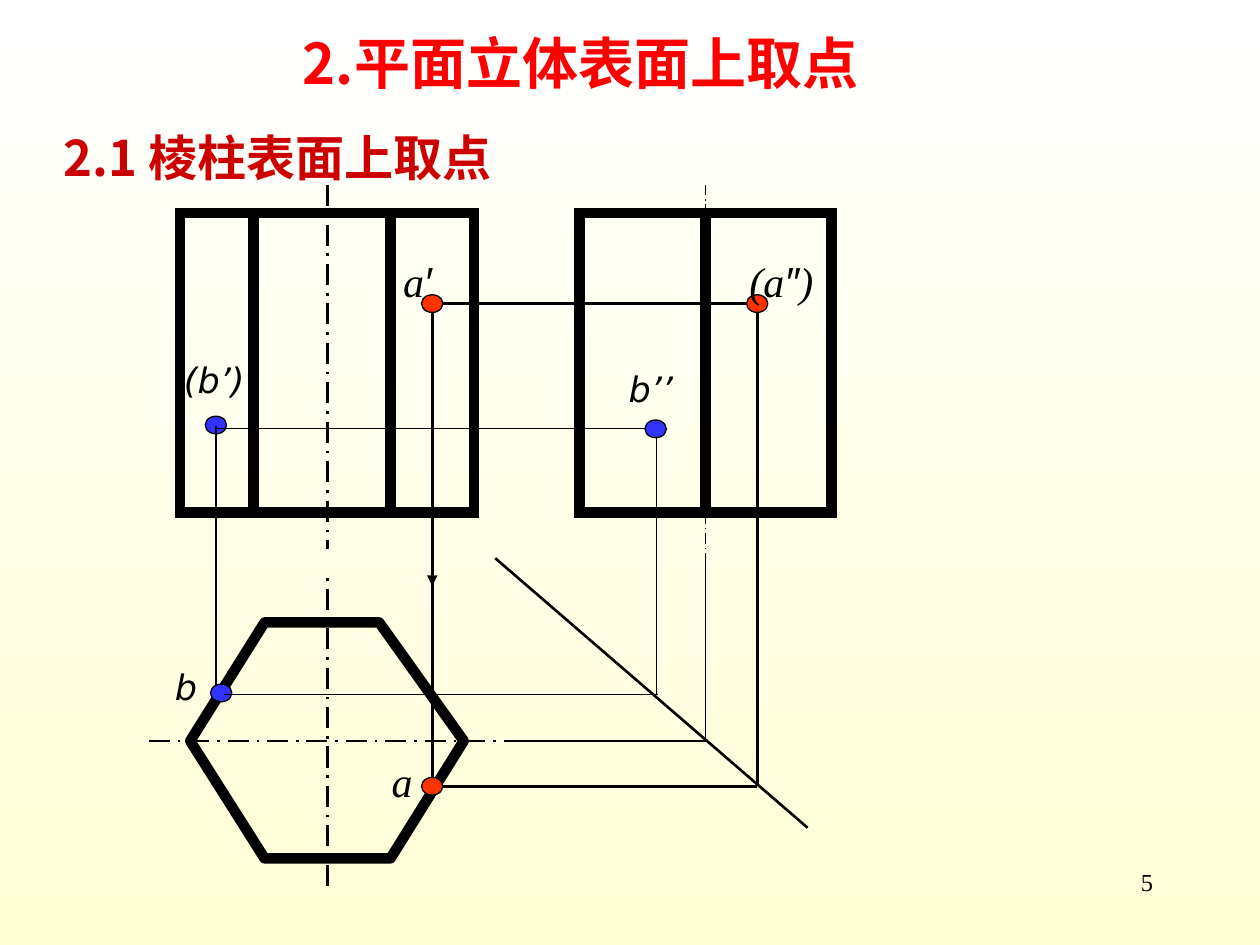
from dataclasses import dataclass

from lxml import etree
from pptx import Presentation
from pptx.dml.color import RGBColor
from pptx.enum.dml import MSO_LINE
from pptx.enum.shapes import MSO_CONNECTOR, MSO_SHAPE
from pptx.enum.text import MSO_ANCHOR, MSO_AUTO_SIZE, PP_ALIGN
from pptx.oxml.ns import qn
from pptx.util import Pt

STRAIGHT = MSO_CONNECTOR.STRAIGHT
RECTANGLE, OVAL = MSO_SHAPE.RECTANGLE, MSO_SHAPE.OVAL
CHAIN = MSO_LINE.LONG_DASH_DOT
LEFT, CENTER, RIGHT = PP_ALIGN.LEFT, PP_ALIGN.CENTER, PP_ALIGN.RIGHT
TOP, MIDDLE = MSO_ANCHOR.TOP, MSO_ANCHOR.MIDDLE
GROW, FIXED = MSO_AUTO_SIZE.SHAPE_TO_FIT_TEXT, MSO_AUTO_SIZE.NONE

COLORS = {
    "ink": "000000", "title": "FF0000", "heading": "CC0000",
    "red": "FF3300", "blue": "3333FF", "sky": "FFFFFF", "cream": "FFFED6",
}
FORMATS = {
    "title": {"size": Pt(32), "bold": True, "name": "Noto Sans CJK SC"},
    "heading": {"size": Pt(28), "bold": True, "name": "Noto Sans CJK SC"},
    "serif": {"size": Pt(24), "italic": True, "name": "Times New Roman"},
    "prime": {"size": Pt(24), "italic": True, "name": "Arial"},
    "sans": {"size": Pt(20), "italic": True, "name": "DejaVu Sans"},
    "number": {"size": Pt(14), "name": "Times New Roman"},
}
THIN, MEDIUM, THICK = 0.75, 1.5, 6
DOT_WIDTH, DOT_HEIGHT = 12.2, 10.1
VIEW_TOP, VIEW_BOTTOM = 121.7, 293
FRONT_AXIS, SIDE_AXIS, PLAN_AXIS = 187.2, 403.2, 423.4
A_FRONT, A_SIDE, A_HEIGHT, A_PLAN = 247, 432.7, 173.5, 449.3
B_FRONT, B_SIDE, B_HEIGHT, B_PLAN = 123.4, 375, 244.8, 396.7
HEXAGON = [(151.2, 355.7), (216.7, 355.7), (265, PLAN_AXIS),
           (223.2, 490.5), (151.2, 490.5), (108.7, PLAN_AXIS)]


@dataclass
class Stroke:
    x1: float
    y1: float
    x2: float
    y2: float
    width: float = MEDIUM
    dashed: bool = False
    arrow: bool = False


@dataclass
class Frame:
    left: float
    width: float


@dataclass
class Outline:
    points: list[tuple[float, float]]


@dataclass
class Dot:
    x: float
    y: float
    color: str


@dataclass
class Label:
    left: float
    top: float
    width: float
    height: float
    spans: list[tuple[str, str]]
    color: str = "ink"
    align: PP_ALIGN = LEFT
    anchor: MSO_ANCHOR = TOP
    resize: MSO_AUTO_SIZE = GROW
    inset: float = 3.6


def rgb(name: str) -> RGBColor:
    return RGBColor.from_string(COLORS[name])


def set_line(shape, width: float) -> None:
    shape.line.color.rgb = rgb("ink")
    shape.line.width = Pt(width)


def draw_stroke(shapes, item: Stroke) -> None:
    ends = [Pt(value) for value in (item.x1, item.y1, item.x2, item.y2)]
    stroke = shapes.add_connector(STRAIGHT, *ends)
    set_line(stroke, item.width)
    if item.dashed:
        stroke.line.dash_style = CHAIN
    if item.arrow:
        etree.SubElement(stroke.line._get_or_add_ln(), qn("a:tailEnd"), type="triangle")
    etree.SubElement(stroke._element.spPr, qn("a:effectLst"))


def draw_frame(shapes, item: Frame) -> None:
    frame = shapes.add_shape(RECTANGLE, Pt(item.left), Pt(VIEW_TOP),
                             Pt(item.width), Pt(VIEW_BOTTOM - VIEW_TOP))
    frame.shadow.inherit = False
    frame.fill.background()
    set_line(frame, THICK)
    etree.SubElement(frame.line._get_or_add_ln(), qn("a:miter"), lim="800000")


def draw_outline(shapes, item: Outline) -> None:
    start, *rest = [(Pt(x), Pt(y)) for x, y in item.points]
    builder = shapes.build_freeform(*start)
    builder.add_line_segments(rest, close=True)
    outline = builder.convert_to_shape()
    outline.shadow.inherit = False
    outline.fill.background()
    set_line(outline, THICK)
    etree.SubElement(outline.line._get_or_add_ln(), qn("a:round"))


def draw_dot(shapes, item: Dot) -> None:
    dot = shapes.add_shape(OVAL, Pt(item.x - DOT_WIDTH / 2), Pt(item.y - DOT_HEIGHT / 2),
                           Pt(DOT_WIDTH), Pt(DOT_HEIGHT))
    dot.shadow.inherit = False
    dot.fill.solid()
    dot.fill.fore_color.rgb = rgb(item.color)
    set_line(dot, THIN)


def draw_label(shapes, item: Label) -> None:
    box = shapes.add_textbox(Pt(item.left), Pt(item.top), Pt(item.width), Pt(item.height))
    frame = box.text_frame
    settings = {"word_wrap": True, "auto_size": item.resize, "vertical_anchor": item.anchor,
                "margin_top": Pt(item.inset), "margin_bottom": Pt(item.inset)}
    for key, value in settings.items():
        setattr(frame, key, value)
    para = frame.paragraphs[0]
    para.alignment = item.align
    for text, style in item.spans:
        span = para.add_run()
        span.text = text
        span.font.color.rgb = rgb(item.color)
        for key, value in FORMATS[style].items():
            setattr(span.font, key, value)
        etree.SubElement(span.font._element, qn("a:ea"), typeface=FORMATS[style]["name"])


DRAWERS = {Stroke: draw_stroke, Frame: draw_frame, Outline: draw_outline,
           Dot: draw_dot, Label: draw_label}

ITEMS = [
    Stroke(295.2, PLAN_AXIS, SIDE_AXIS, PLAN_AXIS, THIN),
    Stroke(SIDE_AXIS, 319, SIDE_AXIS, PLAN_AXIS, THIN),
    Stroke(283, 319, 461.5, 473),
    Stroke(A_FRONT, A_PLAN, A_SIDE, A_PLAN),
    Stroke(A_FRONT, A_HEIGHT, A_SIDE, A_HEIGHT),
    Frame(103, 167.8),
    Frame(331.2, 144),
    Outline(HEXAGON),
    *[Stroke(x, VIEW_TOP, x, VIEW_BOTTOM, THICK) for x in (144.9, 223.2, SIDE_AXIS)],
    Stroke(FRONT_AXIS, 105.8, FRONT_AXIS, 314, dashed=True),
    Stroke(85, PLAN_AXIS, 295.2, PLAN_AXIS, dashed=True),
    Stroke(FRONT_AXIS, 506.2, FRONT_AXIS, 329.8, dashed=True),
    Stroke(SIDE_AXIS, 105.8, SIDE_AXIS, 319, THIN, dashed=True),
    Dot(A_FRONT, A_HEIGHT, "red"),
    Label(223.2, 142.6, 66.2, 36, [("a", "serif"), ("′", "prime")]),
    Stroke(A_FRONT, 178.6, A_FRONT, 334.8, arrow=True),
    Stroke(A_FRONT, 329.8, A_FRONT, A_PLAN),
    Dot(A_FRONT, A_PLAN, "red"),
    Label(216.7, 428.4, 59.8, 36, [("a", "serif")]),
    Stroke(A_SIDE, A_PLAN, A_SIDE, A_HEIGHT),
    Dot(A_SIDE, A_HEIGHT, "red"),
    Label(421.2, 142.6, 59.8, 36, [("(a", "serif"), ("″", "prime"), (")", "serif")]),
    Label(29.5, 69.1, 396, 41, [("2.1 棱柱表面上取点", "heading")], "heading"),
    Label(25.9, 5.8, 612, 59, [("2.平面立体表面上取点", "title")], "title",
          CENTER, MIDDLE, FIXED),
    Dot(B_FRONT, 242.9, "blue"),
    Label(98, 201.6, 54, 31.7, [("(b’)", "sans")]),
    Stroke(B_FRONT, 399.6, B_FRONT, 243.4),
    Label(92.9, 376.6, 54, 31.7, [("b", "sans")]),
    Dot(126.4, 396, "blue"),
    Stroke(128.2, B_PLAN, 375.8, B_PLAN, THIN),
    Stroke(B_SIDE, 397.4, B_SIDE, 245.5, THIN),
    Stroke(B_FRONT, B_HEIGHT, B_SIDE, B_HEIGHT, THIN),
    Dot(374.7, 245.1, "blue"),
    Label(352.1, 210.2, 54, 23.8, [("b’’", "sans")], inset=0),
    Label(516.2, 491.8, 149.8, 36, [("5", "number")], align=RIGHT, resize=FIXED),
]


def main() -> None:
    deck = Presentation()
    deck.slide_width, deck.slide_height = Pt(720), Pt(540)
    page = deck.slides.add_slide(deck.slide_layouts[6])
    backdrop = page.background.fill
    backdrop.gradient()
    backdrop.gradient_angle = 270
    for stop, name, position in zip(backdrop.gradient_stops, ("sky", "cream"), (0, 1)):
        stop.color.rgb = rgb(name)
        stop.position = position
    for item in ITEMS:
        DRAWERS[type(item)](page.shapes, item)
    deck.save("out.pptx")


if __name__ == "__main__":
    main()
